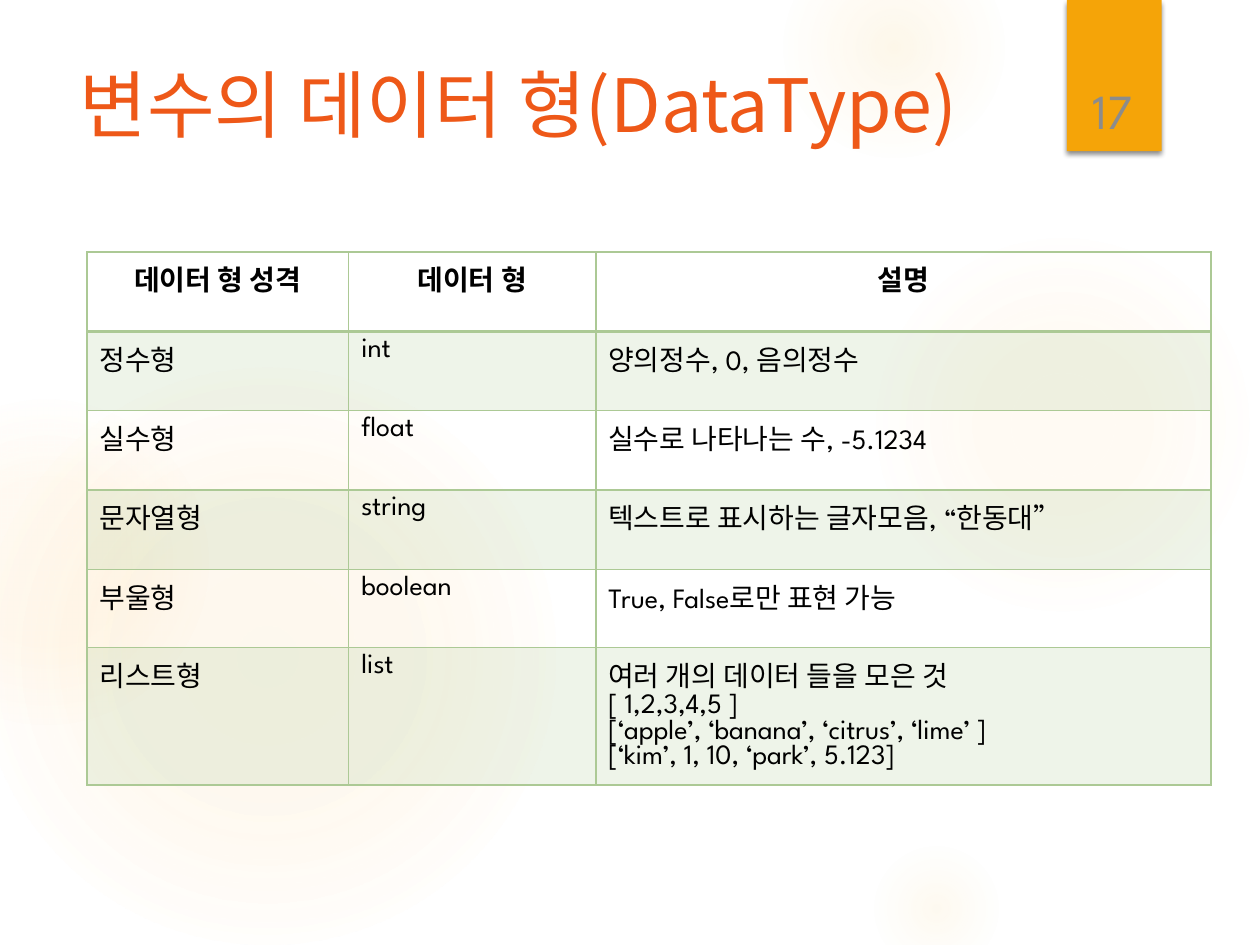
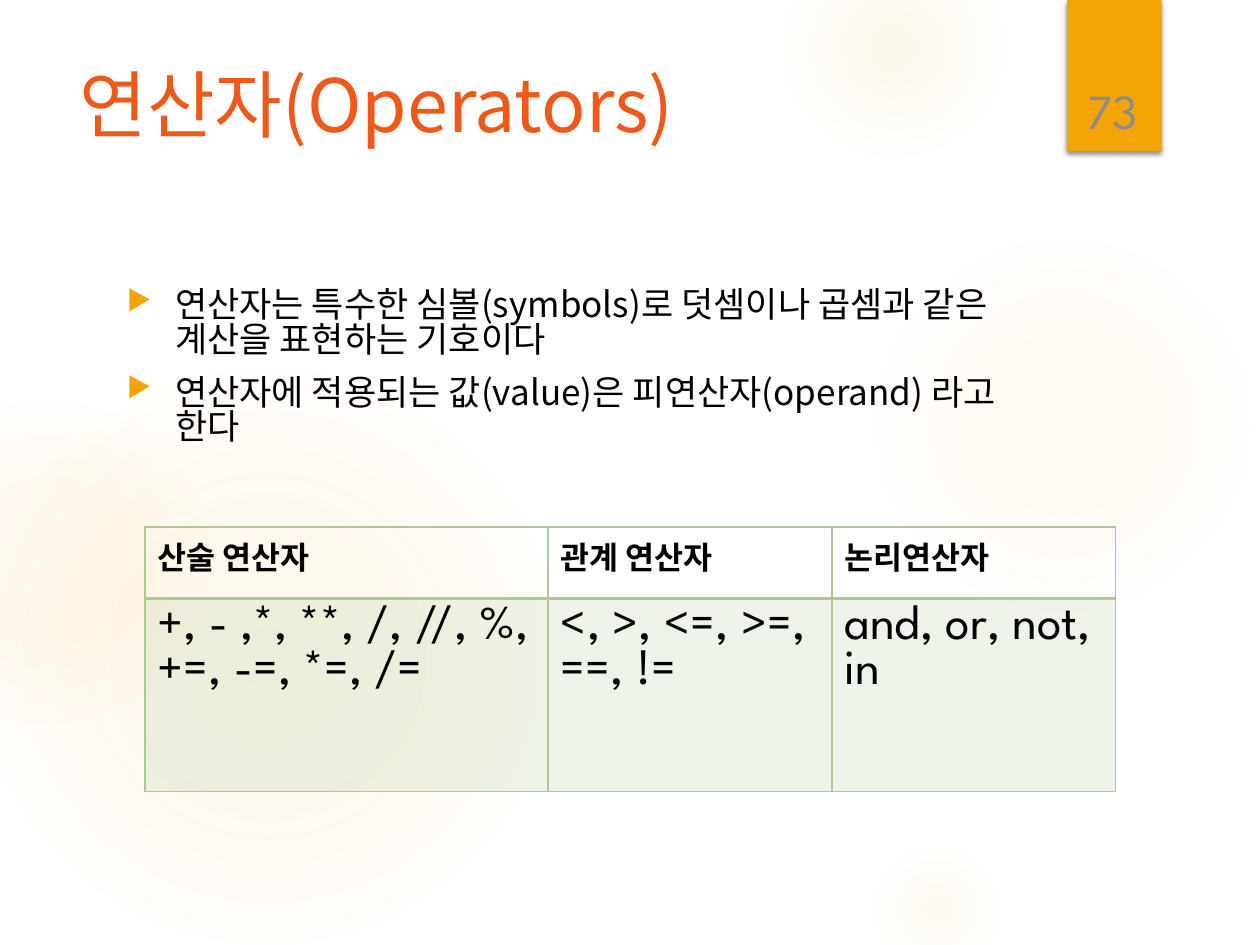
from dataclasses import dataclass
from itertools import product

from lxml.etree import SubElement
from pptx import Presentation
from pptx.dml.color import RGBColor
from pptx.enum.shapes import MSO_SHAPE
from pptx.enum.text import MSO_ANCHOR, MSO_AUTO_SIZE, PP_ALIGN
from pptx.oxml import parse_xml
from pptx.oxml.ns import nsdecls, qn
from pptx.util import Cm, Pt

GLOW = "FAC96A"
AMBER = "F5A408"
ORANGE = "EE5818"
GREEN = "ACC995"
GREY = "8C8C8C"
BLACK = "000000"
LATIN_FONT = "League Spartan"
KOREAN_FONT = "Noto Sans CJK KR"


@dataclass
class Box:
    left: float
    top: float
    width: float
    height: float

    def lengths(self) -> tuple:
        return Cm(self.left), Cm(self.top), Cm(self.width), Cm(self.height)


@dataclass
class Glow:
    box: Box
    stops: tuple


@dataclass
class TextStyle:
    size: float
    color: str = BLACK
    font: str = LATIN_FONT
    bold: bool = False
    align: PP_ALIGN = PP_ALIGN.LEFT


@dataclass
class Grid:
    left: float
    top: float
    columns: tuple
    heights: tuple
    rows: tuple
    header: TextStyle
    body: TextStyle


GLOWS = (
    Glow(Box(17.5, 4.65, 7.82, 7.82), ((0, 7), (36, 6), (69, 0))),
    Glow(Box(15.8, -1.27, 4.45, 4.45), ((0, 14), (36, 7), (73, 0))),
    Glow(Box(17.5, 16.94, 2.74, 2.74), ((0, 10), (31, 5), (66, 0))),
    Glow(Box(-0.43, 7.42, 11.63, 11.63), ((0, 11), (36, 10), (75, 0))),
    Glow(Box(-2.34, 8.05, 6.55, 6.55), ((0, 8), (36, 8), (72, 0))),
)
BAND = Box(21.51, 0, 1.91, 3.05)
NUMBER = Box(21.56, 0.81, 1.75, 2.13)
TITLE = Box(1.35, 1.27, 19.61, 3.89)
BULLETS = Box(2.31, 5.72, 18.64, 11.66)

TITLE_STYLE = TextStyle(42, ORANGE, KOREAN_FONT)
NUMBER_STYLE = TextStyle(28, GREY, align=PP_ALIGN.CENTER)
BULLET_STYLE = TextStyle(20, BLACK, KOREAN_FONT)

DATA_TYPES = Grid(
    1.75, 5.08, (5.28, 4.98, 12.4), (1.6, 1.6, 1.6, 1.6, 1.57, 2.77),
    (
        ("데이터 형 성격", "데이터 형", "설명"),
        ("정수형", "int", "양의정수, 0, 음의정수"),
        ("실수형", "float", "실수로 나타나는 수, -5.1234"),
        ("문자열형", "string", "텍스트로 표시하는 글자모음, “한동대”"),
        ("부울형", "boolean", "True, False로만 표현 가능"),
        ("리스트형", "list",
         "여러 개의 데이터 들을 모은 것\n[ 1,2,3,4,5 ]\n"
         "[‘apple’, ‘banana’, ‘citrus’, ‘lime’ ]\n[‘kim’, 1, 10, ‘park’, 5.123]"),
    ),
    TextStyle(16, bold=True, align=PP_ALIGN.CENTER), TextStyle(16),
)
OPERATORS = Grid(
    2.92, 10.62, (8.13, 5.72, 5.72), (1.45, 3.89),
    (
        ("산술 연산자", "관계 연산자", "논리연산자"),
        ("+, - ,*, **, /, //, %, +=, -=, *=, /=", "<, >, <=, >=, ==, !=", "and, or, not, in"),
    ),
    TextStyle(18, bold=True), TextStyle(28),
)
OPERATOR_POINTS = (
    "연산자는 특수한 심볼(symbols)로 덧셈이나 곱셈과 같은 계산을 표현하는 기호이다",
    "연산자에 적용되는 값(value)은 피연산자(operand) 라고 한다",
)


def rgb(color: str) -> RGBColor:
    return RGBColor.from_string(color)


def write(text_frame, text: str, style: TextStyle) -> None:
    text_frame.text = text
    for paragraph in text_frame.paragraphs:
        paragraph.alignment = style.align
        for run in paragraph.runs:
            font = run.font
            font.size = Pt(style.size)
            font.bold = style.bold
            font.color.rgb = rgb(style.color)
            font.name = style.font
            latin = run._r.rPr.find(qn("a:latin"))
            latin.addnext(parse_xml(f'<a:ea {nsdecls("a")} typeface="{KOREAN_FONT}"/>'))


def add_plain_shape(slide, kind: MSO_SHAPE, box: Box):
    shape = slide.shapes.add_shape(kind, *box.lengths())
    shape.shadow.inherit = False
    shape.line.fill.background()
    return shape


def add_glow(slide, glow: Glow) -> None:
    shape = add_plain_shape(slide, MSO_SHAPE.OVAL, glow.box)
    stops = "".join(
        f'<a:gs pos="{position * 1000}"><a:srgbClr val="{GLOW}">'
        f'<a:alpha val="{alpha * 1000}"/></a:srgbClr></a:gs>'
        for position, alpha in glow.stops
    )
    gradient = parse_xml(
        f'<a:gradFill {nsdecls("a")} rotWithShape="1"><a:gsLst>{stops}</a:gsLst>'
        '<a:path path="circle"><a:fillToRect l="50000" t="50000" r="50000" b="50000"/>'
        '</a:path></a:gradFill>'
    )
    shape._element.spPr.find(qn("a:prstGeom")).addnext(gradient)


def add_band(slide, number: str) -> None:
    band = add_plain_shape(slide, MSO_SHAPE.RECTANGLE, BAND)
    band.fill.solid()
    band.fill.fore_color.rgb = rgb(AMBER)
    band._element.spPr.find(qn("a:effectLst")).append(parse_xml(
        f'<a:outerShdw {nsdecls("a")} blurRad="{Pt(3)}" dist="{Pt(2)}" dir="5400000" '
        f'rotWithShape="0"><a:srgbClr val="{BLACK}"><a:alpha val="45000"/></a:srgbClr>'
        '</a:outerShdw>'
    ))
    text_frame = slide.shapes.add_textbox(*NUMBER.lengths()).text_frame
    text_frame.word_wrap = True
    text_frame.vertical_anchor = MSO_ANCHOR.BOTTOM
    write(text_frame, number, NUMBER_STYLE)


def add_titled_slide(presentation, title: str, number: str):
    slide = presentation.slides.add_slide(presentation.slide_layouts[5])
    for glow in GLOWS:
        add_glow(slide, glow)
    add_band(slide, number)
    placeholder = slide.shapes.title
    placeholder.left, placeholder.top, placeholder.width, placeholder.height = TITLE.lengths()
    text_frame = placeholder.text_frame
    text_frame.auto_size = MSO_AUTO_SIZE.NONE
    text_frame.vertical_anchor = MSO_ANCHOR.TOP
    write(text_frame, title, TITLE_STYLE)
    text_frame.paragraphs[0].line_spacing = 0.9
    slide.shapes._spTree.append(placeholder._element)
    return slide


def add_bullets(slide, points: tuple) -> None:
    text_frame = slide.shapes.add_textbox(*BULLETS.lengths()).text_frame
    text_frame.word_wrap = True
    write(text_frame, "\n".join(points), BULLET_STYLE)
    for index, paragraph in enumerate(text_frame.paragraphs):
        paragraph.line_spacing = 0.83
        if index:
            paragraph.space_before = Pt(10)
        properties = paragraph._p.get_or_add_pPr()
        properties.set("marL", str(Cm(0.97)))
        properties.set("indent", str(-Cm(0.97)))
        bullet_color = SubElement(properties, qn("a:buClr"))
        SubElement(bullet_color, qn("a:srgbClr"), val=AMBER)
        SubElement(properties, qn("a:buSzPct"), val="80000")
        SubElement(properties, qn("a:buChar"), char="▶")


def set_borders(cell, top: float, bottom: float) -> None:
    widths = {"lnL": 1, "lnR": 1, "lnT": top, "lnB": bottom}
    properties = cell._tc.get_or_add_tcPr()
    for index, (side, width) in enumerate(widths.items()):
        properties.insert(index, parse_xml(
            f'<a:{side} {nsdecls("a")} w="{Pt(width)}"><a:solidFill>'
            f'<a:srgbClr val="{GREEN}"/></a:solidFill></a:{side}>'
        ))


def tint(cell) -> None:
    cell.fill.solid()
    cell.fill.fore_color.rgb = rgb(GREEN)
    color = cell._tc.tcPr.find(qn("a:solidFill")).find(qn("a:srgbClr"))
    SubElement(color, qn("a:alpha"), val="20000")


def add_grid(slide, grid: Grid) -> None:
    box = Box(grid.left, grid.top, sum(grid.columns), sum(grid.heights))
    table = slide.shapes.add_table(
        len(grid.heights), len(grid.columns), *box.lengths()).table
    for column, width in zip(table.columns, grid.columns):
        column.width = Cm(width)
    for row, height in zip(table.rows, grid.heights):
        row.height = Cm(height)
    for row, column in product(range(len(grid.heights)), range(len(grid.columns))):
        cell = table.cell(row, column)
        write(cell.text_frame, grid.rows[row][column], grid.body if row else grid.header)
        if row % 2:
            tint(cell)
        else:
            cell.fill.background()
        set_borders(cell, top=2 if row == 1 else 1, bottom=2 if row == 0 else 1)


def main() -> None:
    presentation = Presentation()
    presentation.slide_width = Cm(25.4)
    presentation.slide_height = Cm(19.05)

    data_type_slide = add_titled_slide(presentation, "변수의 데이터 형(DataType)", "17")
    add_grid(data_type_slide, DATA_TYPES)

    operator_slide = add_titled_slide(presentation, "연산자(Operators)", "73")
    add_bullets(operator_slide, OPERATOR_POINTS)
    add_grid(operator_slide, OPERATORS)

    presentation.save("out.pptx")


if __name__ == "__main__":
    main()
